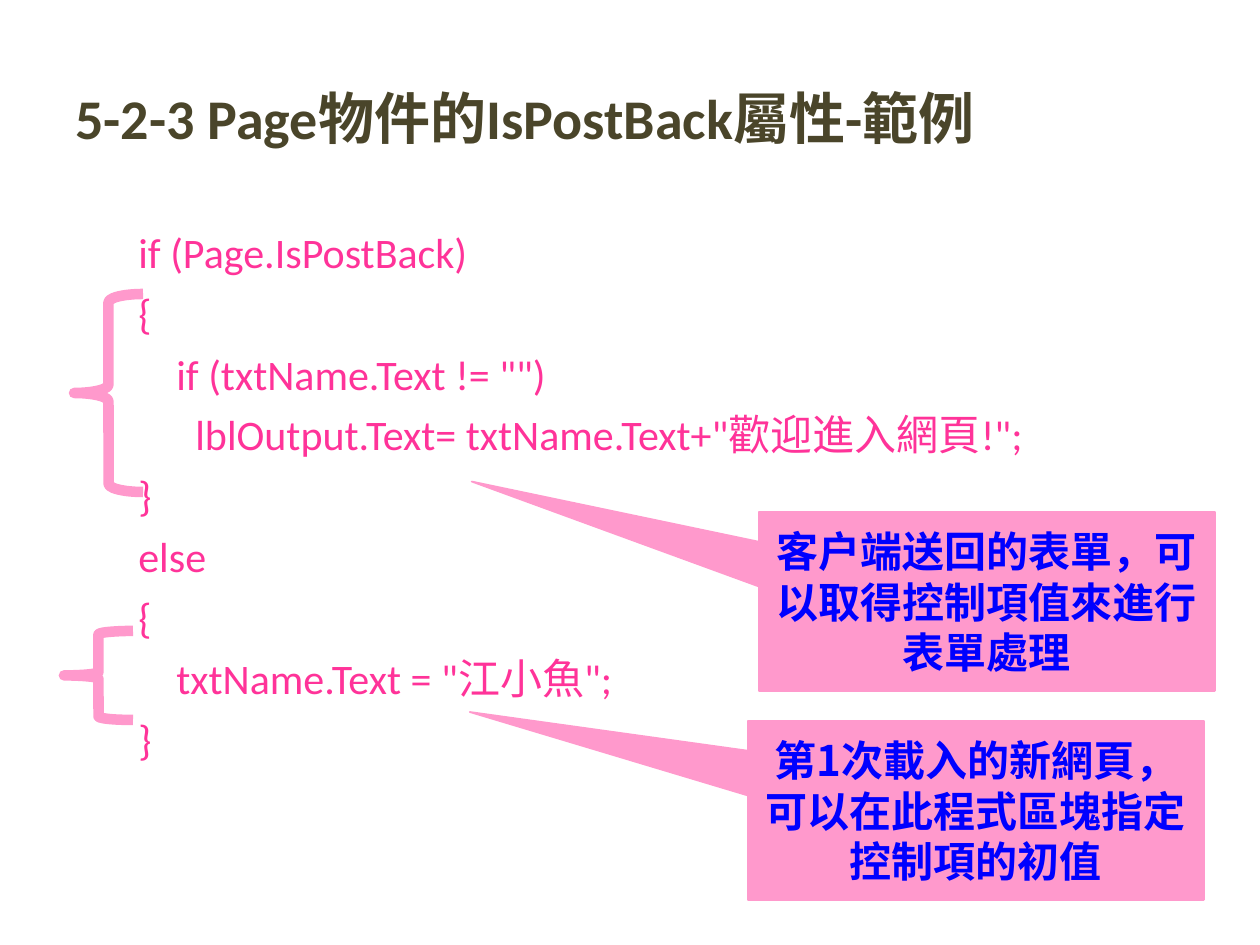
"""Build the slide on the IsPostBack property of the Page object."""
import pptx
import pptx.dml.color
import pptx.enum.shapes
import pptx.enum.text
import pptx.oxml
import pptx.oxml.ns
import pptx.util

PX = 914400 // 126
KIND = pptx.enum.shapes.MSO_SHAPE
ANCHOR = pptx.enum.text.MSO_ANCHOR
ALIGN = pptx.enum.text.PP_ALIGN
THEME = {
    "title": {"size": 32, "color": "4A452A", "font": "Calibri", "bold": True},
    "code": {"size": 24, "color": "FF3399", "font": "Calibri", "bold": False},
    "note": {"size": 24, "color": "0000FF", "font": "Noto Sans CJK TC", "bold": True},
    "pink": pptx.dml.color.RGBColor.from_string("FF99CC"),
    "asian": "Noto Sans CJK TC",
}


def write(para, text, style):
    look = THEME[style]
    para.text = text
    para.font.size = pptx.util.Pt(look["size"])
    para.font.bold = look["bold"]
    para.font.color.rgb = pptx.dml.color.RGBColor.from_string(look["color"])
    para.font.name = look["font"]
    props = para._p.get_or_add_pPr()
    asian = pptx.oxml.parse_xml(
        f'<a:ea {pptx.oxml.ns.nsdecls("a")} typeface="{THEME["asian"]}"/>')
    props.find(pptx.oxml.ns.qn("a:defRPr")).append(asian)
    return props


def place(kind, box, width):
    shape = slide.shapes.add_shape(kind, *[n * PX for n in box])
    shape.shadow.inherit = False
    shape.line.color.rgb = THEME["pink"]
    shape.line.width = pptx.util.Pt(width)
    return shape


deck = pptx.Presentation()
deck.slide_width = 1260 * PX
deck.slide_height = 945 * PX
slide = deck.slides.add_slide(deck.slide_layouts[6])

title = slide.shapes.add_textbox(63 * PX, 38 * PX, 1134 * PX, 158 * PX).text_frame
title.word_wrap = True
title.vertical_anchor = ANCHOR.MIDDLE
write(title.paragraphs[0], "5-2-3 Page物件的IsPostBack屬性-範例", "title")

code = [
    (63, "if (Page.IsPostBack)"),
    (63, "{"),
    (101, 'if (txtName.Text != "")'),
    (120, 'lblOutput.Text= txtName.Text+"歡迎進入網頁!";'),
    (63, "}"),
    (63, "else"),
    (63, "{"),
    (101, 'txtName.Text = "江小魚";'),
    (63, "}"),
]
body = slide.shapes.add_textbox(63 * PX, 220 * PX, 1134 * PX, 624 * PX).text_frame
body.word_wrap = True
for row, (indent, text) in enumerate(code):
    para = body.add_paragraph() if row else body.paragraphs[0]
    para.space_before = pptx.util.Pt(6)
    write(para, text, "code").set("marL", str(indent * PX))

notes = [
    ((748, 721, 456, 179), (-1.11, -0.55),
     "第1次載入的新網頁，可以在此程式區塊指定控制項的初值"),
    ((759, 512, 456, 179), (-1.13, -0.67),
     "客戶端送回的表單，可以取得控制項值來進行表單處理"),
]
for box, tip, text in notes:
    note = place(KIND.RECTANGULAR_CALLOUT, box, 1)
    note.adjustments[0], note.adjustments[1] = tip
    note.fill.solid()
    note.fill.fore_color.rgb = THEME["pink"]
    frame = note.text_frame
    frame.word_wrap = True
    frame.vertical_anchor = ANCHOR.MIDDLE
    frame.paragraphs[0].alignment = ALIGN.CENTER
    write(frame.paragraphs[0], text, "note")

for box, curve in [((74, 294, 69, 198), 0.12), ((64, 631, 69, 89), 0.05)]:
    brace = place(KIND.LEFT_BRACE, box, 6)
    brace.adjustments[0] = curve
    brace.fill.background()

deck.save("out.pptx")
